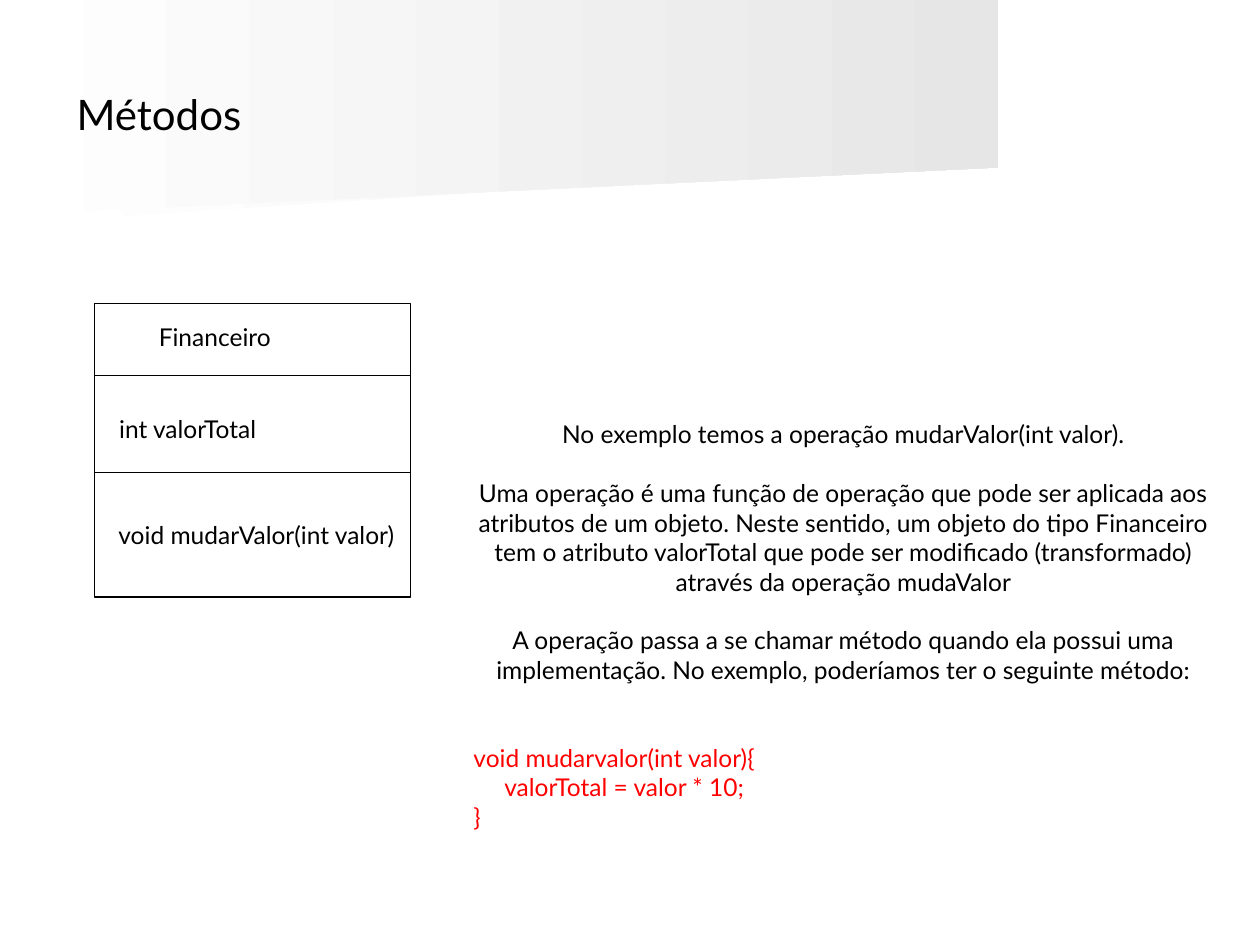
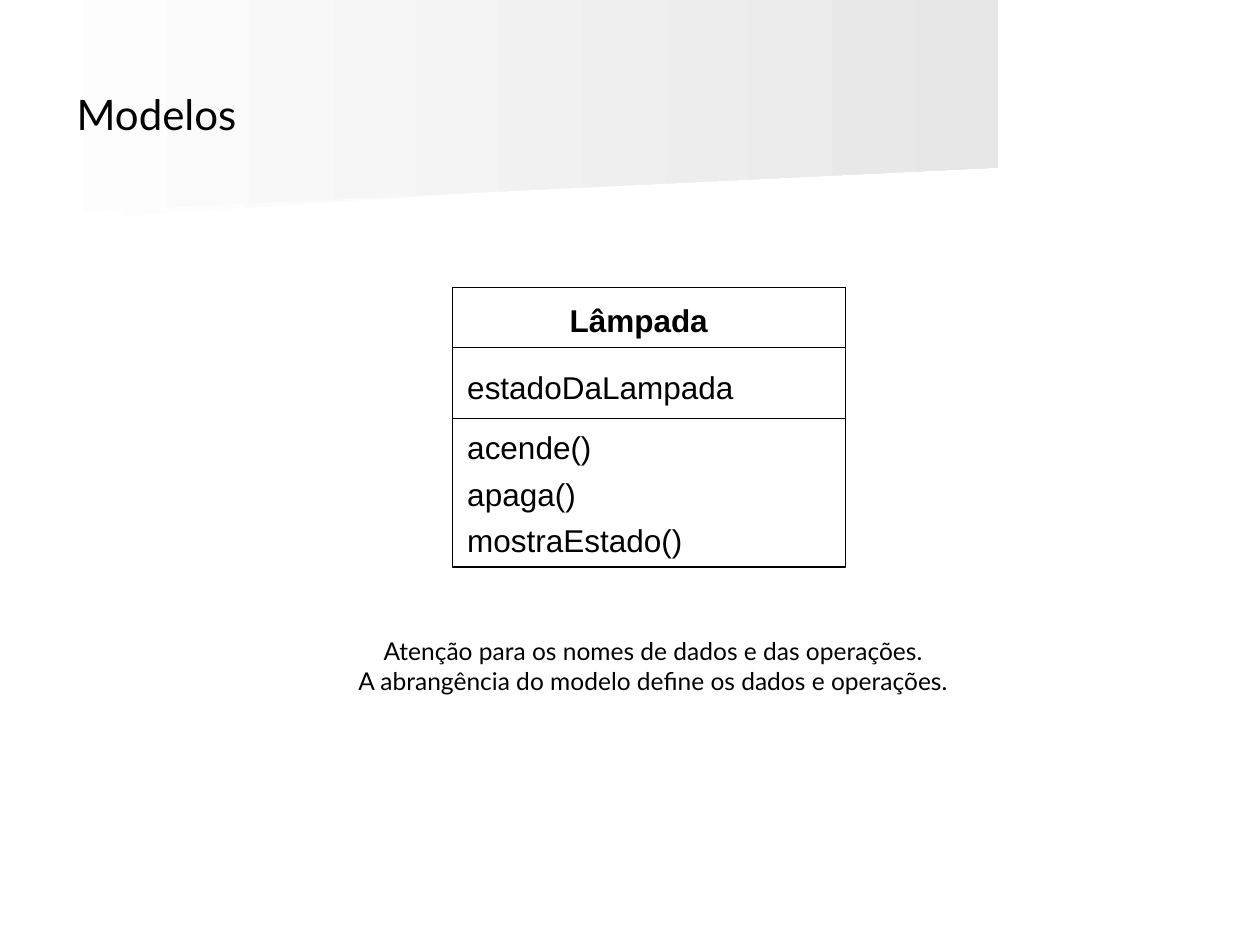
from lxml import etree
from pptx import Presentation
from pptx.dml.color import RGBColor
from pptx.enum import text as text_enum
from pptx.enum import shapes as shape_enum
from pptx.oxml.ns import qn
from pptx.util import Inches, Pt

WIDTH, HEIGHT = Inches(10), Inches(7.5)
COLUMN, ROW = WIDTH / 100, HEIGHT / 75  # square grid cells
COLORS = {"ink": "000000", "paper": "FFFFFF", "code": "FF0000",
          "mist": "F0F0F0", "cloud": "E6E6E6"}
BODY_FONT, MODEL_FONT = "Lato", "Arial"
BODY_SIZE, MODEL_SIZE, TITLE_SIZE = 14, 18, 24
BLANK_LINE = 16.8  # height of one line of body text, in points
LEFT, CENTER = text_enum.PP_ALIGN.LEFT, text_enum.PP_ALIGN.CENTER
BANDS = [
    ("mist", [(77.8, 12.6), (0, 17.8), (0, 8.3), (77.9, 8.3), (77.8, 10.5)]),
    ("cloud", [(79.2, 13.3), (0, 17.1), (0, 0), (79.2, 0)]),
]


def color(name):
    return RGBColor.from_string(COLORS[name])


def write(frame, text, size=BODY_SIZE, font=BODY_FONT, ink="ink", bold=False,
          align=CENTER, before=0):
    """Add one paragraph, using the frame's first one while it is empty."""
    paragraph = frame.paragraphs[0] if not frame.text else frame.add_paragraph()
    paragraph.text = text
    paragraph.alignment = align
    paragraph.space_before = Pt(before)
    paragraph.font.size = Pt(size)
    paragraph.font.name = font
    paragraph.font.bold = bold
    paragraph.font.color.rgb = color(ink)


class Deck:
    def __init__(self):
        self.presentation = Presentation()
        self.presentation.slide_width = WIDTH
        self.presentation.slide_height = HEIGHT
        self.slide = None

    def place(self, *lengths):
        """Turn alternating columns and rows into slide lengths."""
        return [round(length * (ROW if index % 2 else COLUMN))
                for index, length in enumerate(lengths)]

    def new_slide(self, title):
        layout = self.presentation.slide_layouts[6]
        self.slide = self.presentation.slides.add_slide(layout)
        for shade, corners in BANDS:
            self.band(shade, corners)
        frame = self.text_frame(5.1, 2.8, 90, 12.5)
        frame.vertical_anchor = text_enum.MSO_ANCHOR.MIDDLE
        write(frame, title, size=TITLE_SIZE, align=LEFT)

    def band(self, shade, corners):
        start, *others = [self.place(*corner) for corner in corners]
        builder = self.slide.shapes.build_freeform(*start)
        builder.add_line_segments(others, close=True)
        shape = builder.convert_to_shape()
        shape.shadow.inherit = False
        shape.line.fill.background()
        shape.fill.gradient()
        shape.fill.gradient_angle = 0
        for stop, name in zip(shape.fill.gradient_stops, ("paper", shade)):
            stop.color.rgb = color(name)

    def text_frame(self, left, top, width, height, wrap=True):
        box = self.slide.shapes.add_textbox(*self.place(left, top, width, height))
        box.text_frame.word_wrap = wrap
        return box.text_frame

    def label(self, left, top, width, height, text, wrap=True, **style):
        write(self.text_frame(left, top, width, height, wrap), text, **style)

    def line(self, left, right, row):
        connector = self.slide.shapes.add_connector(
            shape_enum.MSO_CONNECTOR.STRAIGHT, *self.place(left, row, right, row))
        connector.line.color.rgb = color("ink")
        connector.line.width = Pt(0.75)
        properties = connector._element.spPr
        etree.SubElement(properties, qn("a:effectLst"))

    def class_box(self, left, top, width, height, dividers, fill=None):
        """Draw a class diagram's outline, split at the divider rows."""
        shape = self.slide.shapes.add_shape(
            shape_enum.MSO_SHAPE.RECTANGLE, *self.place(left, top, width, height))
        shape.shadow.inherit = False
        if fill:
            shape.fill.solid()
            shape.fill.fore_color.rgb = color(fill)
        else:
            shape.fill.background()
        shape.line.color.rgb = color("ink")
        shape.line.width = Pt(0.75)
        for row in dividers:
            self.line(left, left + width, row)


def build_methods(deck):
    deck.new_slide("Métodos")
    deck.class_box(7.5, 24.1, 25.1, 23.3, dividers=(29.8, 37.5))
    for left, top, width, text in (
            (11.3, 25.1, 11.5, "Financeiro"),
            (7.9, 32.4, 14, "int valorTotal"),
            (7.4, 40.8, 25.9, "void mudarValor(int valor)")):
        deck.label(left, top, width, 3.4, text, wrap=False)

    frame = deck.text_frame(36.6, 32.8, 60.7, 36)
    write(frame, "No exemplo temos a operação mudarValor(int valor).")
    for text in (
            "Uma operação é uma função de operação que pode ser aplicada aos "
            "atributos de um objeto. Neste sentido, um objeto do tipo Financeiro "
            "tem o atributo valorTotal que pode ser modificado (transformado) "
            "através da operação mudaValor",
            "A operação passa a se chamar método quando ela possui uma "
            "implementação. No exemplo, poderíamos ter o seguinte método:"):
        write(frame, text, before=BLANK_LINE)
    code = ("void mudarvalor(int valor){", "     valorTotal = valor * 10;", "}")
    for index, text in enumerate(code):
        write(frame, text, ink="code", align=LEFT,
              before=0 if index else 2 * BLANK_LINE)


def build_models(deck):
    model = {"size": MODEL_SIZE, "font": MODEL_FONT}
    deck.new_slide("Modelos")
    deck.class_box(35.9, 22.8, 31.2, 22.2, dividers=(27.6, 33.2), fill="paper")
    deck.label(43.2, 23.4, 15, 4, "Lâmpada", bold=True, **model)
    deck.label(36.1, 28.7, 30.2, 4, "estadoDaLampada", align=LEFT, **model)
    operations = deck.text_frame(36.1, 33.5, 30.2, 11.3)
    for index, text in enumerate(("acende()", "apaga()", "mostraEstado()")):
        write(operations, text, align=LEFT, before=5 if index else 0, **model)

    note = deck.text_frame(24.4, 50, 54.9, 5.7)
    write(note, "Atenção para os nomes de dados e das operações.")
    write(note, "A abrangência do modelo define os dados e operações.")


def main():
    deck = Deck()
    build_methods(deck)
    build_models(deck)
    deck.presentation.save("out.pptx")


if __name__ == "__main__":
    main()
